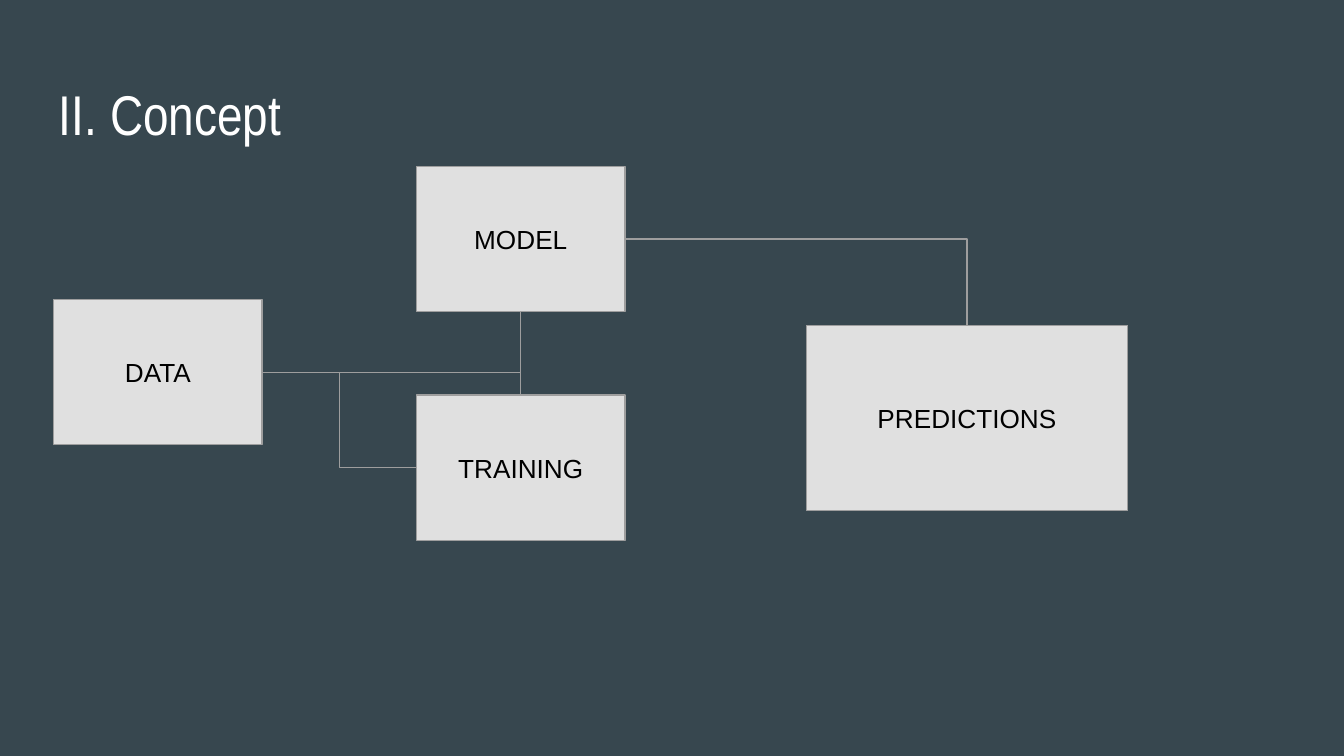
from lxml.etree import SubElement
from pptx import Presentation
from pptx.dml.color import RGBColor
from pptx.enum.shapes import MSO_CONNECTOR, MSO_SHAPE
from pptx.enum.text import MSO_ANCHOR, PP_ALIGN
from pptx.oxml.ns import qn
from pptx.util import Inches, Pt

BACKGROUND, PANEL, RULE = "37474F", "E0E0E0", "9E9E9E"
TOP, LEFT, BOTTOM, RIGHT = range(4)
STEP_WIDTH, STEP_HEIGHT = 1.55, 1.08


def color(value):
    return RGBColor.from_string(value)


def write(frame, text, *, size, font, fill, align=PP_ALIGN.LEFT, anchor=MSO_ANCHOR.TOP):
    frame.word_wrap = True
    frame.vertical_anchor = anchor
    frame.margin_left = frame.margin_right = Inches(0.1)
    frame.margin_top = frame.margin_bottom = Inches(0.1)
    paragraph = frame.paragraphs[0]
    paragraph.alignment = align
    run = paragraph.add_run()
    run.text = text
    run.font.size = Pt(size)
    run.font.name = font
    run.font.color.rgb = color(fill)


def outline(line):
    line.color.rgb = color(RULE)
    line.width = Pt(0.75)


def add_title(slide, text, left, top, width, height):
    title = slide.shapes.add_textbox(*map(Inches, (left, top, width, height)))
    write(title.text_frame, text, size=30, font="Arial Narrow", fill="FFFFFF")


def add_step(slide, text, left, top, width=STEP_WIDTH, height=STEP_HEIGHT):
    step = slide.shapes.add_shape(
        MSO_SHAPE.RECTANGLE, *map(Inches, (left, top, width, height)))
    step.shadow.inherit = False
    step.fill.solid()
    step.fill.fore_color.rgb = color(PANEL)
    outline(step.line)
    write(step.text_frame, text, size=14, font="Arial", fill="000000",
          align=PP_ALIGN.CENTER, anchor=MSO_ANCHOR.MIDDLE)
    return step


def link(slide, source, source_side, target, target_side, route=MSO_CONNECTOR.ELBOW,
         single_bend=False):
    connector = slide.shapes.add_connector(route, 0, 0, 0, 0)
    connector.begin_connect(source, source_side)
    connector.end_connect(target, target_side)
    outline(connector.line)
    properties = connector._element.spPr
    if single_bend:
        properties.find(qn("a:prstGeom")).set("prst", "bentConnector2")
    SubElement(properties, qn("a:effectLst"))


def add_flow(slide, left, top):
    middle = left + 2.7
    data = add_step(slide, "DATA", left, top + 0.99)
    training = add_step(slide, "TRAINING", middle, top + 1.7)
    model = add_step(slide, "MODEL", middle, top)
    predictions = add_step(slide, "PREDICTIONS", left + 5.6, top + 1.18, 2.39, 1.38)

    link(slide, data, RIGHT, training, LEFT)
    link(slide, model, RIGHT, predictions, TOP, single_bend=True)
    link(slide, data, RIGHT, model, BOTTOM, single_bend=True)
    link(slide, training, TOP, model, BOTTOM, route=MSO_CONNECTOR.STRAIGHT)


def main():
    deck = Presentation()
    deck.slide_width = Inches(10)
    deck.slide_height = deck.slide_width * 9 // 16
    slide = deck.slides.add_slide(deck.slide_layouts[6])
    slide.background.fill.solid()
    slide.background.fill.fore_color.rgb = color(BACKGROUND)
    add_title(slide, "II. Concept", 0.34, 0.49, 9.32, 0.63)
    add_flow(slide, 0.4, 1.24)
    deck.save("out.pptx")


if __name__ == "__main__":
    main()
